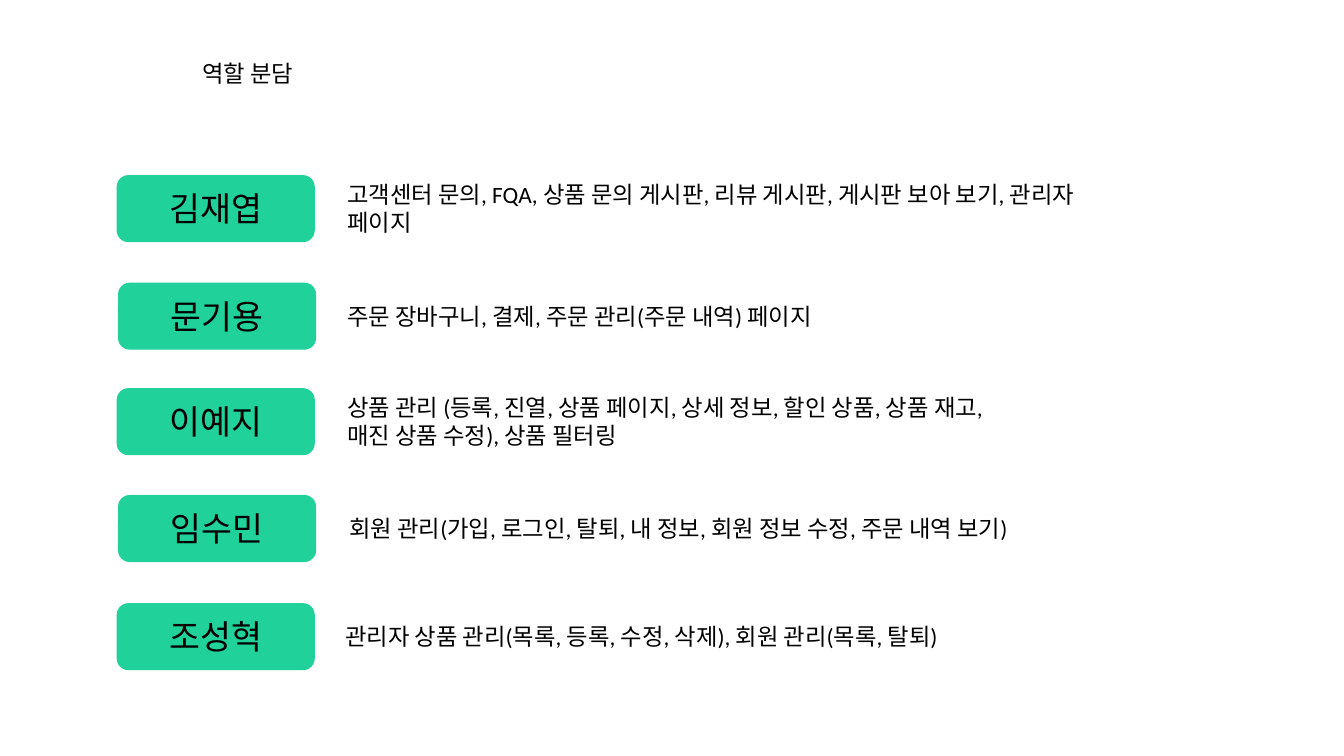
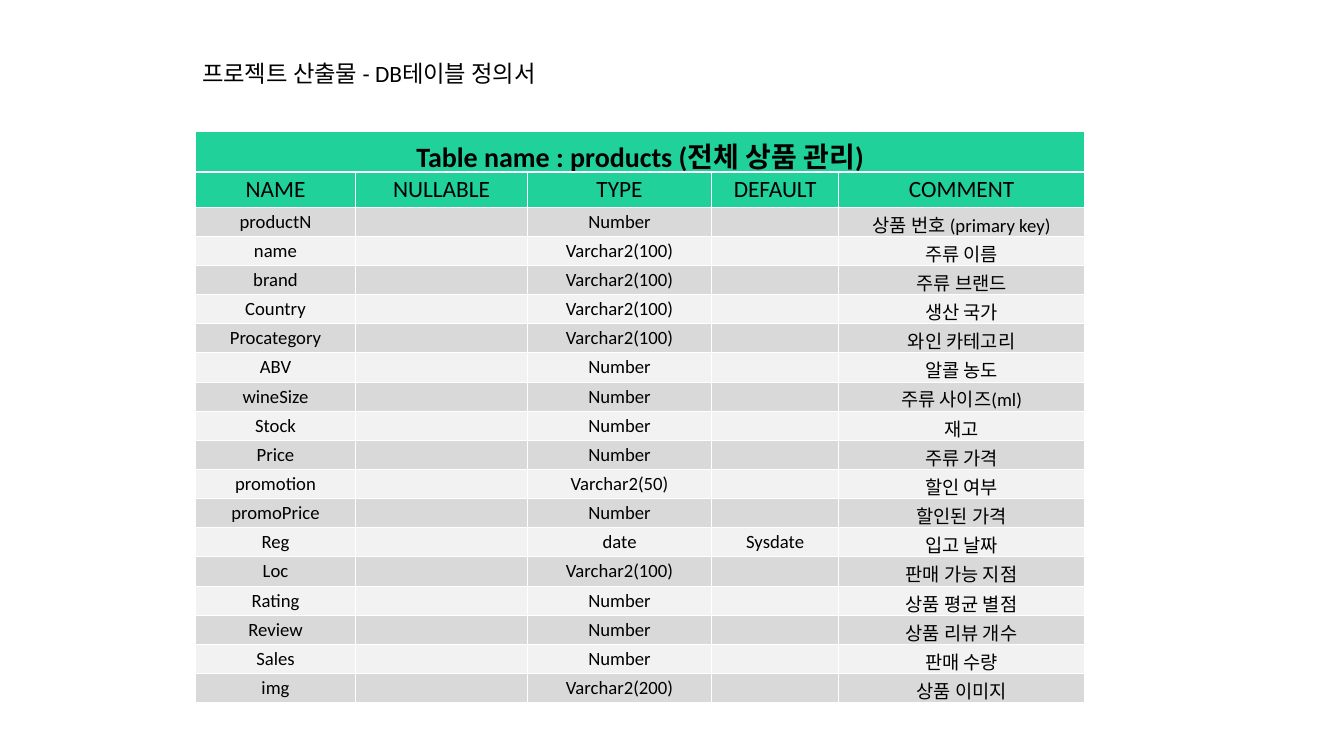
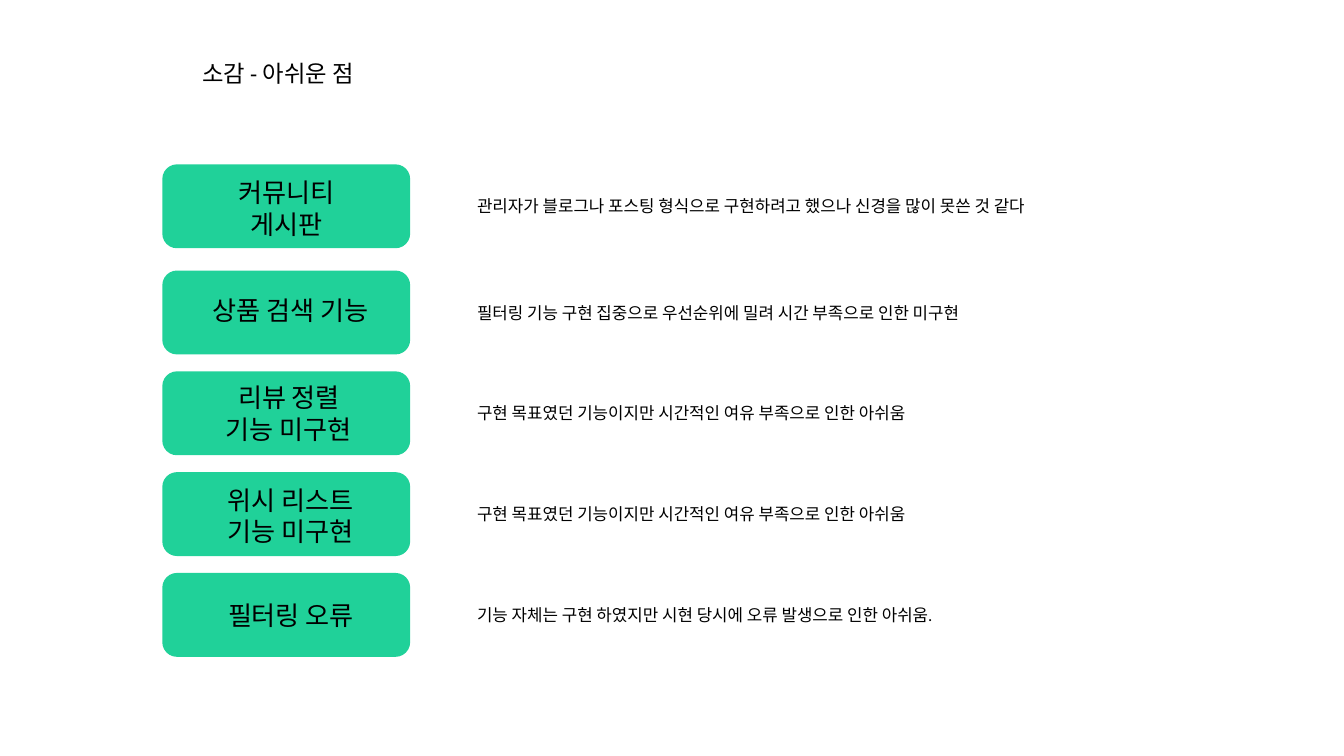
import pptx
import pptx.dml.color
import pptx.enum.shapes
import pptx.enum.text
import pptx.oxml.ns
import pptx.util
from lxml import etree

Inches, Pt = pptx.util.Inches, pptx.util.Pt
CENTER = pptx.enum.text.PP_ALIGN.CENTER
COLOURS = {"green": "20D199", "black": "000000", "white": "FFFFFF",
           "dark_band": "D9D9D9", "light_band": "F2F2F2"}
FONT, KOREAN_FONT = "Calibri", "Noto Sans CJK KR"

# Roles: name, pill left and top, duty left, duty height, duty lines
ROLES = [
    ("김재엽", 1.75, 2.62, 5.07, 0.94,
     ["고객센터 문의, FQA, 상품 문의 게시판, 리뷰 게시판, 게시판 보아 보기, 관리자 페이지"]),
    ("문기용", 1.77, 4.22, 5.07, 0.52,
     ["주문 장바구니, 결제, 주문 관리(주문 내역) 페이지"]),
    ("이예지", 1.75, 5.79, 5.07, 0.94,
     ["상품 관리 (등록, 진열, 상품 페이지, 상세 정보, 할인 상품, 상품 재고,",
      "매진 상품 수정), 상품 필터링"]),
    ("임수민", 1.77, 7.38, 5.1, 0.52,
     ["회원 관리(가입, 로그인, 탈퇴, 내 정보, 회원 정보 수정, 주문 내역 보기)"]),
    ("조성혁", 1.75, 8.99, 5.04, 0.52,
     ["관리자 상품 관리(목록, 등록, 수정, 삭제), 회원 관리(목록, 탈퇴)"]),
]

# Regrets: topic, pill top, label box (left, top, width, height), reason
REGRETS = [
    ("커뮤니티 게시판", 2.46, (2.89, 2.58, 2.74, 1.04),
     "관리자가 블로그나 포스팅 형식으로 구현하려고 했으나 신경을 많이 못쓴 것 같다"),
    ("상품 검색 기능", 4.04, (2.81, 4.33, 3.02, 0.57),
     "필터링 기능 구현 집중으로 우선순위에 밀려 시간 부족으로 인한 미구현"),
    ("리뷰 정렬 기능 미구현", 5.54, (3.08, 5.63, 2.44, 1.04),
     "구현 목표였던 기능이지만 시간적인 여유 부족으로 인한 아쉬움"),
    ("위시 리스트 기능 미구현", 7.04, (3.1, 7.16, 2.44, 1.04),
     "구현 목표였던 기능이지만 시간적인 여유 부족으로 인한 아쉬움"),
    ("필터링 오류", 8.54, (3.11, 8.87, 2.44, 0.57),
     "기능 자체는 구현 하였지만 시현 당시에 오류 발생으로 인한 아쉬움."),
]

# Database table
TABLE_TITLE = "Table name : products (전체 상품 관리)"
HEADINGS = ["NAME", "NULLABLE", "TYPE", "DEFAULT", "COMMENT"]
FIELDS = [
    ("productN", "Number", "상품 번호 (primary key)"),
    ("name", "Varchar2(100)", "주류 이름"),
    ("brand", "Varchar2(100)", "주류 브랜드"),
    ("Country", "Varchar2(100)", "생산 국가"),
    ("Procategory", "Varchar2(100)", "와인 카테고리"),
    ("ABV", "Number", "알콜 농도"),
    ("wineSize", "Number", "주류 사이즈(ml)"),
    ("Stock", "Number", "재고"),
    ("Price", "Number", "주류 가격"),
    ("promotion", "Varchar2(50)", "할인 여부"),
    ("promoPrice", "Number", "할인된 가격"),
    ("Reg", "date", "입고 날짜"),
    ("Loc", "Varchar2(100)", "판매 가능 지점"),
    ("Rating", "Number", "상품 평균 별점"),
    ("Review", "Number", "상품 리뷰 개수"),
    ("Sales", "Number", "판매 수량"),
    ("img", "Varchar2(200)", "상품 이미지"),
]
DEFAULTS = {"Reg": "Sysdate"}
COLUMN_WIDTHS = [2.38, 2.56, 2.74, 1.89, 3.66]
ROW_HEIGHTS = [0.57, 0.52] + [0.42] * len(FIELDS)


def colour(name):
    return pptx.dml.color.RGBColor.from_string(COLOURS[name])


def add_span(para, text, size, bold=False):
    span = para.add_run()
    span.text = text
    span.font.name = FONT
    span.font.size = Pt(size)
    span.font.bold = bold
    span.font.color.rgb = colour("black")
    return span


def add_text(parent, place, lines, size, align=None):
    box = parent.shapes.add_textbox(*map(Inches, place))
    frame = box.text_frame
    frame.word_wrap = True
    frame.auto_size = pptx.enum.text.MSO_AUTO_SIZE.SHAPE_TO_FIT_TEXT
    for index, line in enumerate(lines):
        para = frame.add_paragraph() if index else frame.paragraphs[0]
        para.alignment = align
        add_span(para, line, size)
    return box


def add_page(deck, title, title_width):
    page = deck.slides.add_slide(deck.slide_layouts[6])
    box = add_text(page, (2.91, 0.83, title_width, 0.52), [title], 25)
    properties = box.text_frame.paragraphs[0].runs[0].font._element
    etree.SubElement(properties, pptx.oxml.ns.qn("a:ea"), typeface=KOREAN_FONT)
    return page


def add_pill(page, place, label, label_place, size):
    group = page.shapes.add_group_shape()
    pill = group.shapes.add_shape(
        pptx.enum.shapes.MSO_SHAPE.ROUNDED_RECTANGLE, *map(Inches, place))
    pill.shadow.inherit = False
    pill.fill.solid()
    pill.fill.fore_color.rgb = colour("green")
    pill.line.color.rgb = colour("green")
    pill.line.width = Pt(2)
    add_text(group, label_place, [label], size, CENTER)


def style_cell(cell, fill, top=1, bottom=1):
    cell.fill.solid()
    cell.fill.fore_color.rgb = colour(fill)
    properties = cell._tc.get_or_add_tcPr()
    widths = {"a:lnL": 1, "a:lnR": 1, "a:lnT": top, "a:lnB": bottom}
    for index, (tag, width) in enumerate(widths.items()):
        border = etree.Element(pptx.oxml.ns.qn(tag), w=str(Pt(width)))
        solid = etree.SubElement(border, pptx.oxml.ns.qn("a:solidFill"))
        etree.SubElement(solid, pptx.oxml.ns.qn("a:srgbClr"), val=COLOURS["white"])
        properties.insert(index, border)


def build_roles(deck):
    page = add_page(deck, "역할 분담", 8)
    width, height = 2.92, 0.97
    label_width, label_height = 2.11, 0.71
    for name, left, top, duty_left, duty_height, duties in ROLES:
        label_place = (left + (width - label_width) / 2,
                       top + (height - label_height) / 2, label_width, label_height)
        add_pill(page, (left, top, width, height), name, label_place, 36)
        duty_top = top + (height - duty_height) / 2
        add_text(page, (duty_left, duty_top, 11.5, duty_height), duties, 25)


def build_table(deck):
    page = add_page(deck, "프로젝트 산출물 - DB테이블 정의서", 7.25)
    rows = [[TABLE_TITLE, "", "", "", ""], HEADINGS]
    rows += [[name, "", kind, DEFAULTS.get(name, ""), comment]
             for name, kind, comment in FIELDS]
    table = page.shapes.add_table(
        len(rows), len(HEADINGS), Inches(2.91), Inches(1.96),
        Inches(sum(COLUMN_WIDTHS)), Inches(sum(ROW_HEIGHTS))).table
    for column, width in zip(table.columns, COLUMN_WIDTHS):
        column.width = Inches(width)
    for r, (row, height) in enumerate(zip(rows, ROW_HEIGHTS)):
        table.rows[r].height = Inches(height)
        fill = "green" if r < 2 else ("light_band" if r % 2 else "dark_band")
        size = {0: 30, 1: 25}.get(r, 20)
        for c, text in enumerate(row):
            cell = table.cell(r, c)
            style_cell(cell, fill, top=3 if r == 1 else 1, bottom=3 if r == 0 else 1)
            if text:
                para = cell.text_frame.paragraphs[0]
                para.alignment = CENTER
                add_span(para, text, size, bold=r == 0)
    table.cell(0, 0).merge(table.cell(0, len(HEADINGS) - 1))


def build_regrets(deck):
    page = add_page(deck, "소감 - 아쉬운 점", 4.56)
    height, reason_height = 1.22, 0.4
    for topic, top, label_place, reason in REGRETS:
        add_pill(page, (2.43, top, 3.66, height), topic, label_place, 28)
        reason_top = top + (height - reason_height) / 2
        add_text(page, (7, reason_top, 10.58, reason_height), [reason], 18)


def main():
    deck = pptx.Presentation()
    deck.slide_width, deck.slide_height = Inches(20), Inches(11.25)
    build_roles(deck)
    build_table(deck)
    build_regrets(deck)
    deck.save("out.pptx")


if __name__ == "__main__":
    main()
